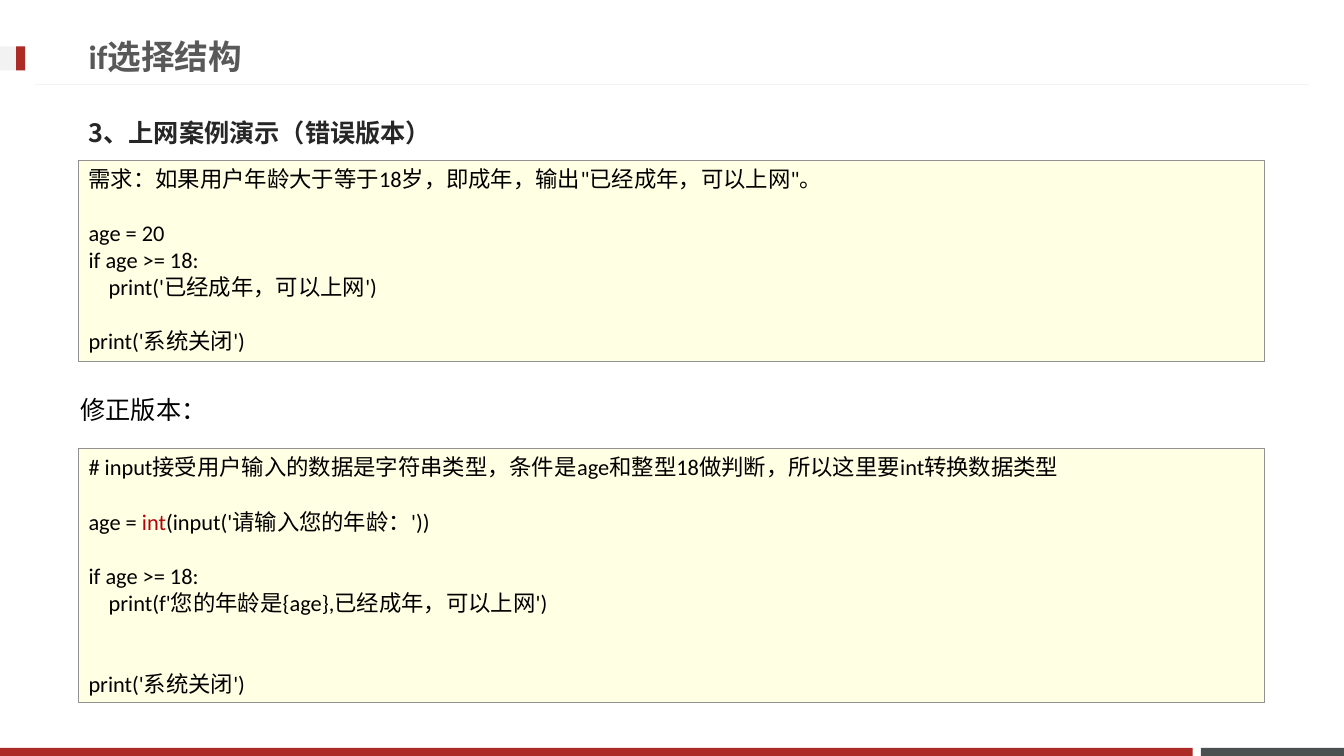
import pptx
import pptx.dml.color
import pptx.enum.lang
import pptx.enum.shapes
import pptx.enum.text
import pptx.oxml.ns
import pptx.util
import lxml.etree

Inches = pptx.util.Inches
Pt = pptx.util.Pt
RGBColor = pptx.dml.color.RGBColor

RED = RGBColor(0xAD, 0x2B, 0x26)
SLATE = RGBColor(0x49, 0x50, 0x4F)
PALE_GRAY = RGBColor(0xF2, 0xF2, 0xF2)
TITLE_GRAY = RGBColor(0x59, 0x59, 0x59)
HEADING_GRAY = RGBColor(0x26, 0x26, 0x26)
BORDER_GRAY = RGBColor(0x91, 0x91, 0x91)
CREAM = RGBColor(0xFF, 0xFF, 0xE4)
CODE_RED = RGBColor(0xB6, 0x02, 0x06)
BLACK = RGBColor(0, 0, 0)

LATIN_FONT = "Calibri"
CHINESE_FONT = "Noto Sans CJK JP"
CODE_SIZE = 16
CODE_LINE_HEIGHT = 19.5
SLIDE_WIDTH = 13.33
SLIDE_HEIGHT = 7.5
CONTENT_LEFT = 0.78
CONTENT_WIDTH = 11.76

WRONG_VERSION = [
    (0, [('需求：如果用户年龄大于等于18岁，即成年，输出"已经成年，可以上网"。', BLACK)]),
    (1, [("age = 20", BLACK)]),
    (0, [("if age >= 18:", BLACK)]),
    (0, [("    print('已经成年，可以上网')", BLACK)]),
    (1, [("print('系统关闭')", BLACK)]),
]
FIXED_VERSION = [
    (0, [("# input接受用户输入的数据是字符串类型，条件是age和整型18做判断，所以这里要int转换数据类型", BLACK)]),
    (1, [("age = ", BLACK), ("int", CODE_RED), ("(input('请输入您的年龄：'))", BLACK)]),
    (1, [("if age >= 18:", BLACK)]),
    (0, [("    print(f'您的年龄是{age},已经成年，可以上网')", BLACK)]),
    (2, [("print('系统关闭')", BLACK)]),
]


def add_run(paragraph, text, size, color, font_name=LATIN_FONT, bold=False):
    run = paragraph.add_run()
    run.text = text
    font = run.font
    font.size = Pt(size)
    font.bold = bold
    font.color.rgb = color
    font.name = font_name
    font.language_id = pptx.enum.lang.MSO_LANGUAGE_ID.SIMPLIFIED_CHINESE
    properties = run._r.get_or_add_rPr()
    east_asian = lxml.etree.SubElement(properties, pptx.oxml.ns.qn("a:ea"))
    east_asian.set("typeface", font_name)


def add_rectangle(slide, left, top, width, height, fill):
    shape = slide.shapes.add_shape(
        pptx.enum.shapes.MSO_SHAPE.RECTANGLE,
        Inches(left), Inches(top), Inches(width), Inches(height))
    shape.shadow.inherit = False
    shape.fill.solid()
    shape.fill.fore_color.rgb = fill
    shape.line.fill.background()
    return shape


def add_heading(slide, left, top, width, height, text, size, color,
                font_name=LATIN_FONT, bold=False, wrap=True):
    box = slide.shapes.add_textbox(
        Inches(left), Inches(top), Inches(width), Inches(height))
    frame = box.text_frame
    frame.word_wrap = wrap
    frame.vertical_anchor = pptx.enum.text.MSO_ANCHOR.MIDDLE
    add_run(frame.paragraphs[0], text, size, color, font_name, bold)


def add_title_bar(slide, left, top, width):
    rule = slide.shapes.add_connector(
        pptx.enum.shapes.MSO_CONNECTOR.STRAIGHT,
        Inches(left + width - 0.35), Inches(top + 0.84),
        Inches(left + 0.35), Inches(top + 0.84))
    rule.line.color.rgb = PALE_GRAY
    rule.line.width = Pt(0.75)
    lxml.etree.SubElement(rule._element.spPr, pptx.oxml.ns.qn("a:effectLst"))
    add_rectangle(slide, left, top + 0.46, 0.25, 0.24, PALE_GRAY)
    add_rectangle(slide, left + 0.16, top + 0.46, 0.09, 0.24, RED)
    add_heading(slide, left + CONTENT_LEFT, top + 0.27, 9.59, 0.57,
                "if选择结构", 24, TITLE_GRAY, bold=True)


def add_footer(slide, left, top, width, height):
    slate_width = 1.42
    gap = 0.08
    add_rectangle(slide, left + width - slate_width, top, slate_width, height, SLATE)
    add_rectangle(slide, left, top, width - slate_width - gap, height, RED)


def add_code_panel(slide, left, top, width, height, lines):
    panel = add_rectangle(slide, left, top, width, height, CREAM)
    panel.line.color.rgb = BORDER_GRAY
    panel.line.width = Pt(0.25)
    frame = panel.text_frame
    frame.word_wrap = True
    frame.vertical_anchor = pptx.enum.text.MSO_ANCHOR.TOP
    for index, (skipped_lines, runs) in enumerate(lines):
        paragraph = frame.add_paragraph() if index else frame.paragraphs[0]
        paragraph.alignment = pptx.enum.text.PP_ALIGN.LEFT
        if skipped_lines:
            paragraph.space_before = Pt(skipped_lines * CODE_LINE_HEIGHT)
        for text, color in runs:
            add_run(paragraph, text, CODE_SIZE, color)


def main():
    presentation = pptx.Presentation()
    presentation.slide_width = Inches(SLIDE_WIDTH)
    presentation.slide_height = Inches(SLIDE_HEIGHT)
    slide = presentation.slides.add_slide(presentation.slide_layouts[6])
    add_footer(slide, 0, 7.42, SLIDE_WIDTH, 0.08)
    add_title_bar(slide, 0, 0, SLIDE_WIDTH)
    add_heading(slide, CONTENT_LEFT, 1.03, CONTENT_WIDTH, 0.57,
                "3、上网案例演示（错误版本）", 18, HEADING_GRAY, CHINESE_FONT, bold=True)
    add_code_panel(slide, CONTENT_LEFT, 1.59, CONTENT_WIDTH, 1.99, WRONG_VERSION)
    add_heading(slide, 0.7, 3.86, 1.46, 0.4, "修正版本：", 18, BLACK, wrap=False)
    add_code_panel(slide, CONTENT_LEFT, 4.45, CONTENT_WIDTH, 2.52, FIXED_VERSION)
    presentation.save("out.pptx")


if __name__ == "__main__":
    main()
